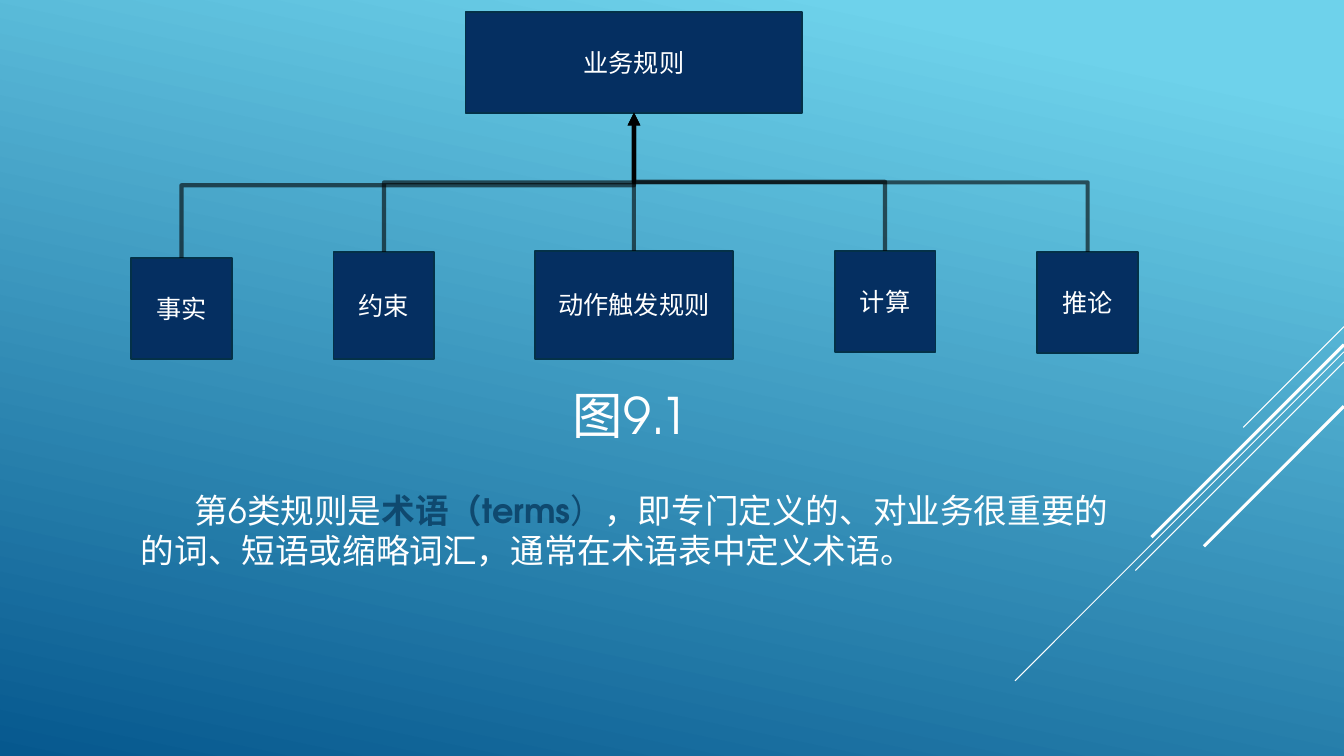
from pptx import Presentation, util as u
from pptx.dml.color import RGBColor
from pptx.enum import shapes, text
from pptx.oxml.ns import qn
from lxml import etree

FONT = "TeX Gyre Adventor"
WHITE = RGBColor(0xFF, 0xFF, 0xFF)
BLACK = RGBColor(0, 0, 0)
SKY = RGBColor(0x6E, 0xD2, 0xEB)
OCEAN = RGBColor(0x06, 0x58, 0x8E)
NAVY = RGBColor(0x05, 0x2F, 0x61)
NAVY_EDGE = RGBColor(0x04, 0x31, 0x48)
TERM_BLUE = RGBColor(0x0F, 0x49, 0x6F)

# Rule boxes: label, left, top, width, height
ROOT_RULE = ("业务规则", 332.6, 8.6, 240.5, 72)
RULE_KINDS = [
    ("事实", 93.6, 184.3, 72, 72),
    ("约束", 238.3, 180, 72, 76.3),
    ("动作触发规则", 382.3, 179.3, 141.1, 77),
    ("计算", 596.2, 179.3, 72, 72),
    ("推论", 740.9, 180, 72, 72),
]
# Diagonal strokes from the right edge: top, horizontal reach, line width
STROKES = [
    (233.3, 72, 0.75),
    (251.3, 235, 0.75),
    (258.5, 149, 0.75),
    (246.2, 137.5, 2.25),
    (290.2, 100, 2.25),
]
DEFINITION = [
    ("第6类规则是", WHITE, False),
    ("术语（terms", TERM_BLUE, True),
    ("）", TERM_BLUE, False),
    ("，即专门定义的、对业务很重要的的词、短语或缩略词汇，"
     "通常在术语表中定义术语。", WHITE, False),
]


def style_font(font, size, color=None):
    font.name = FONT
    font.size = u.Pt(size)
    if color is not None:
        font.color.rgb = color


def paint_background(slide):
    fill = slide.background.fill
    fill.gradient()
    fill.gradient_angle = 258
    for stop, color, position in zip(fill.gradient_stops, (SKY, OCEAN), (0.1, 1)):
        stop.color.rgb = color
        stop.position = position


def add_line(slide, kind, start, end, color, width):
    line = slide.shapes.add_connector(kind, *map(u.Pt, start + end))
    line.line.color.rgb = color
    line.line.width = u.Pt(width)
    etree.SubElement(line._element.spPr, qn("a:effectLst"))
    return line


def add_rule_box(slide, label, left, top, width, height):
    box = slide.shapes.add_shape(
        shapes.MSO_SHAPE.RECTANGLE, *map(u.Pt, (left, top, width, height)))
    box.shadow.inherit = False
    box.fill.solid()
    box.fill.fore_color.rgb = NAVY
    box.line.color.rgb = NAVY_EDGE
    box.line.width = u.Pt(1.25)
    frame = box.text_frame
    frame.vertical_anchor = text.MSO_ANCHOR.MIDDLE
    frame.text = label
    frame.paragraphs[0].alignment = text.PP_ALIGN.CENTER
    style_font(frame.paragraphs[0].font, 18, WHITE)
    return box


def link_up(slide, child, root):
    """Elbow arrow from the child's top to the root's bottom."""
    link = add_line(slide, shapes.MSO_CONNECTOR.ELBOW, (0, 0), (0, 0), BLACK, 3)
    link.begin_connect(child, 0)
    link.end_connect(root, 2)

    # A vertical start needs the elbow turned by a quarter
    x1, y1 = child.left + child.width // 2, child.top
    x2, y2 = root.left + root.width // 2, root.top + root.height
    rise, run = y1 - y2, abs(x2 - x1)
    link.left, link.top = (x1 + x2 - rise) // 2, (y1 + y2 - run) // 2
    link.width, link.height = rise, run
    from_left = x1 <= x2
    xfrm = link._element.spPr.find(qn("a:xfrm"))
    xfrm.set("rot", str((90 if from_left else 270) * 60000))
    xfrm.set("flipH", "1" if from_left else "0")
    xfrm.set("flipV", "1")

    # Transparency and arrowhead
    outline = link.line._get_or_add_ln()
    color = outline.find(".//" + qn("a:srgbClr"))
    etree.SubElement(color, qn("a:alpha"), val="60000")
    etree.SubElement(outline, qn("a:tailEnd"), type="triangle")


def add_caption(slide, caption):
    title = slide.shapes.title
    title.left, title.top, title.width, title.height = map(
        u.Pt, (114.5, 236.9, 671.8, 118.8))
    title.text_frame.text = caption
    title.text_frame.vertical_anchor = text.MSO_ANCHOR.MIDDLE
    title.text_frame.paragraphs[0].alignment = text.PP_ALIGN.CENTER
    style_font(title.text_frame.paragraphs[0].font, 36, WHITE)


def add_definition(slide, pieces):
    box = slide.shapes.add_textbox(*map(u.Pt, (93.6, 346.3, 713.5, 65.5)))
    box.text_frame.word_wrap = True
    paragraph = box.text_frame.paragraphs[0]
    paragraph._p.get_or_add_pPr().set("indent", str(u.Pt(38.5)))
    style_font(paragraph.font, 24)
    for words, color, bold in pieces:
        run = paragraph.add_run()
        run.text = words
        style_font(run.font, 24, color)
        run.font.bold = bold


def main():
    deck = Presentation()
    deck.slide_width, deck.slide_height = u.Pt(960), u.Pt(540)
    slide = deck.slides.add_slide(deck.slide_layouts.get_by_name("Title Only"))

    # Backdrop
    paint_background(slide)
    for top, reach, width in STROKES:
        add_line(slide, shapes.MSO_CONNECTOR.STRAIGHT,
                 (960, top), (960 - reach, top + reach), WHITE, width)

    # Rule hierarchy
    root = add_rule_box(slide, *ROOT_RULE)
    kinds = [add_rule_box(slide, *kind) for kind in RULE_KINDS]
    for kind in kinds:
        link_up(slide, kind, root)

    # Caption and definition
    add_caption(slide, "图9.1")
    add_definition(slide, DEFINITION)
    deck.save("out.pptx")


main()
